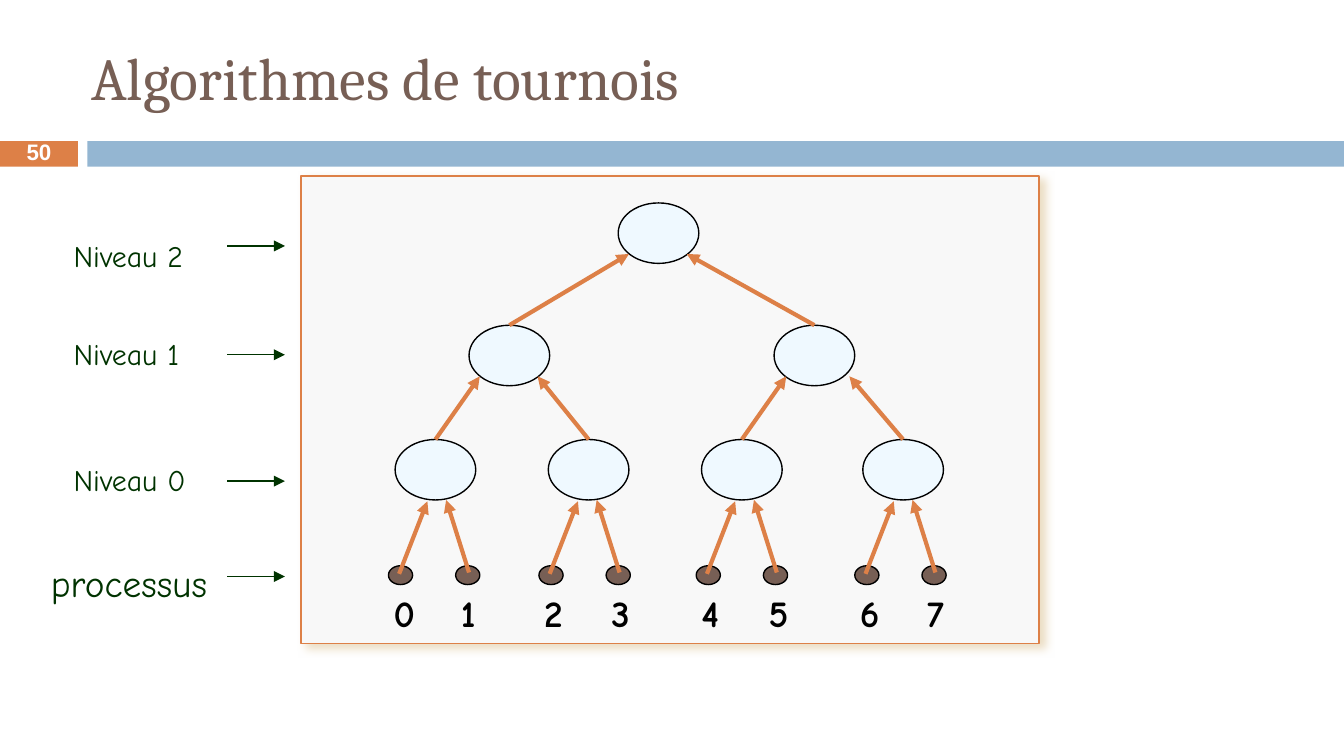
from lxml import etree
from pptx import Presentation
from pptx.dml.color import RGBColor
from pptx.enum import shapes, text
from pptx.oxml.ns import qn
from pptx.util import Inches, Pt

ORANGE = RGBColor(0xDD, 0x80, 0x47)
BLUE = RGBColor(0x94, 0xB6, 0xD2)
BROWN = RGBColor(0x77, 0x5F, 0x55)
PANEL_GREY = RGBColor(0xF8, 0xF8, 0xF8)
NODE_BLUE = RGBColor(0xEF, 0xF9, 0xFF)
GREEN = RGBColor(0x00, 0x33, 0x00)
BLACK = RGBColor(0, 0, 0)
WHITE = RGBColor(0xFF, 0xFF, 0xFF)
SHADOW = RGBColor(0xEB, 0xDD, 0xC3)

NODE_W, NODE_H = 0.6, 0.45
DOT_W, DOT_H = 0.18, 0.14
RECT = shapes.MSO_SHAPE.RECTANGLE
OVAL = shapes.MSO_SHAPE.OVAL


def add_shape(page, kind, box, fill, line=None):
    shape = page.shapes.add_shape(kind, *map(Inches, box))
    shape.shadow.inherit = False
    shape.fill.solid()
    shape.fill.fore_color.rgb = fill
    if line is None:
        shape.line.fill.background()
    else:
        shape.line.color.rgb = line
        shape.line.width = Pt(0.75)
    return shape


def add_arrow(page, start, end, color, width):
    arrow = page.shapes.add_connector(
        shapes.MSO_CONNECTOR.STRAIGHT, *map(Inches, (*start, *end)))
    arrow.line.color.rgb = color
    arrow.line.width = Pt(width)
    line = arrow._element.spPr.find(qn("a:ln"))
    etree.SubElement(line, qn("a:tailEnd"), type="triangle")
    etree.SubElement(arrow._element.spPr, qn("a:effectLst"))


def add_text(page, box, words, size, font, color, bold=False, spacing=1.0,
             anchor=text.MSO_ANCHOR.TOP, align=text.PP_ALIGN.LEFT):
    frame = page.shapes.add_textbox(*map(Inches, box)).text_frame
    frame.word_wrap = True
    frame.vertical_anchor = anchor
    frame.text = words
    para = frame.paragraphs[0]
    para.alignment = align
    para.line_spacing = spacing
    span = para.runs[0]
    span.font.size = Pt(size)
    span.font.name = font
    span.font.bold = bold
    span.font.color.rgb = color


def add_header(page, left, top, width):
    """Title above a band that holds the page number."""
    middle = text.MSO_ANCHOR.MIDDLE
    band = top + 1.05
    add_shape(page, RECT, (left, band, 0.58, 0.19), ORANGE)
    add_shape(page, RECT, (left + 0.65, band, width - 0.65, 0.19), BLUE)
    add_text(page, (left + 0.58, top + 0.22, 8.5, 0.7), "Algorithmes de tournois",
             32, "Cambria", BROWN, anchor=middle)
    add_text(page, (left, band, 0.58, 0.2), "50", 12, "Arial", WHITE, bold=True,
             spacing=0.8, anchor=middle, align=text.PP_ALIGN.CENTER)


def add_panel(page, left, top, width, height):
    panel = add_shape(page, RECT, (left, top, width, height), PANEL_GREY, ORANGE)
    effects = panel._element.spPr.find(qn("a:effectLst"))
    shadow = etree.SubElement(effects, qn("a:outerShdw"), blurRad=str(Pt(5)),
                              dist=str(Pt(3.6)), dir=str(34 * 60000),
                              algn="tl", rotWithShape="0")
    etree.SubElement(shadow, qn("a:srgbClr"), val=str(SHADOW))


def add_process_pair(page, left, top, first):
    """Two process dots, their arrows up to the match, and their numbers."""
    for side in range(2):
        x = left + side * 0.5
        add_shape(page, OVAL, (x, top, DOT_W, DOT_H), BROWN, BLACK)
        add_text(page, (x - 0.06, top + 0.13, 0.35, 0.3),
                 str(first + side), 20, "Comic Neue", BLACK, bold=True)
    for (x1, y1), (x2, y2) in (((0.08, 0.06), (0.29, -0.48)), ((0.6, 0.05), (0.43, -0.49))):
        add_arrow(page, (left + x1, top + y1), (left + x2, top + y2), ORANGE, 2.25)


def add_tournament(page, left, top, width, height):
    """Binary tree of matches, leaves first, inside its panel."""
    add_panel(page, left, top, width, height)
    # Levels as (offset down, offsets across), from the leaves to the root
    levels = [(1.96, (0.7, 1.84, 2.98, 4.18)),
              (1.11, (1.25, 3.52)),
              (0.2, (2.36,))]
    nodes = [[(left + x, top + y) for x in columns] for y, columns in levels]
    for x, y in (node for level in nodes for node in level):
        add_shape(page, OVAL, (x, y, NODE_W, NODE_H), NODE_BLUE, BLACK)

    # Arrows from each match to the one above it, ending at these offsets
    reaches = [(0.08, 0.51, 0.09, 0.56), (0.08, 0.51)]
    for children, parents, ends in zip(nodes, nodes[1:], reaches):
        for index, ((x, y), reach) in enumerate(zip(children, ends)):
            parent_x, parent_y = parents[index // 2]
            add_arrow(page, (x + NODE_W / 2, y), (parent_x + reach, parent_y + 0.38),
                      ORANGE, 2.25)

    for index, x in enumerate((0.65, 1.77, 2.94, 4.12)):
        add_process_pair(page, left + x, top + 2.9, 2 * index)


def add_level_labels(page, left, top):
    """Row names, each with an arrow towards the tree."""
    # Name, label top, arrow height, label left, label size, text size
    rows = [("Niveau 2", 0, 0.19, 0.17, (1.13, 0.37), 16),
            ("Niveau 1", 0.73, 1.0, 0.17, (1.13, 0.37), 16),
            ("Niveau 0", 1.67, 1.94, 0.17, (1.13, 0.37), 16),
            ("processus", 2.38, 2.65, 0, (1.49, 0.44), 20)]
    for name, label_y, arrow_y, x, label_size, size in rows:
        add_text(page, (left + x, top + label_y, *label_size), name, size,
                 "Comic Neue", GREEN, spacing=1.3)
        add_arrow(page, (left + 1.41, top + arrow_y), (left + 1.84, top + arrow_y),
                  GREEN, 0.75)


def main():
    deck = Presentation()
    deck.slide_width = Inches(10)
    deck.slide_height = deck.slide_width * 9 // 16
    page = deck.slides.add_slide(deck.slide_layouts[6])
    add_header(page, 0, 0, 10)
    add_tournament(page, 2.24, 1.31, 5.49, 3.48)
    add_level_labels(page, 0.28, 1.64)
    deck.save("out.pptx")


if __name__ == "__main__":
    main()
